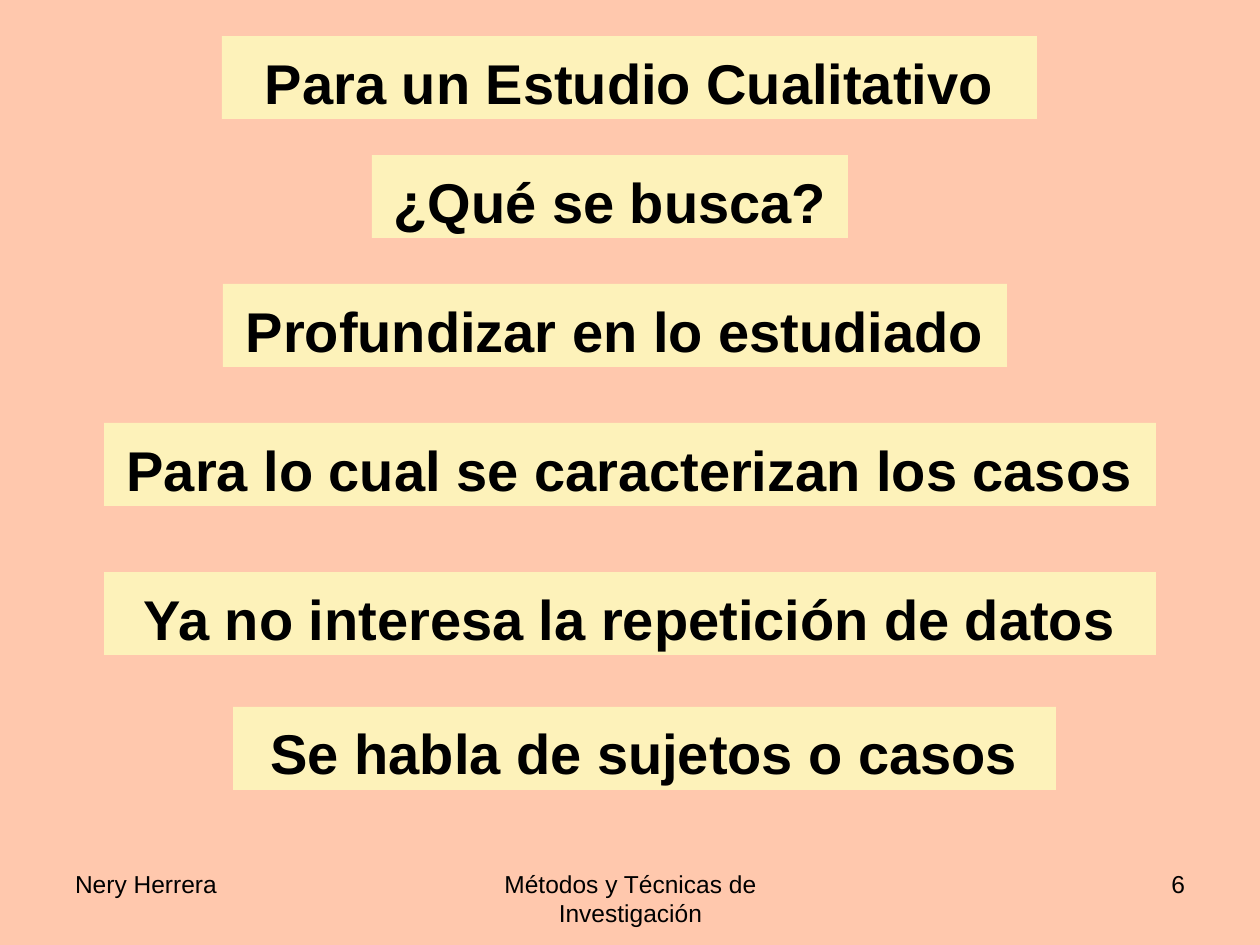
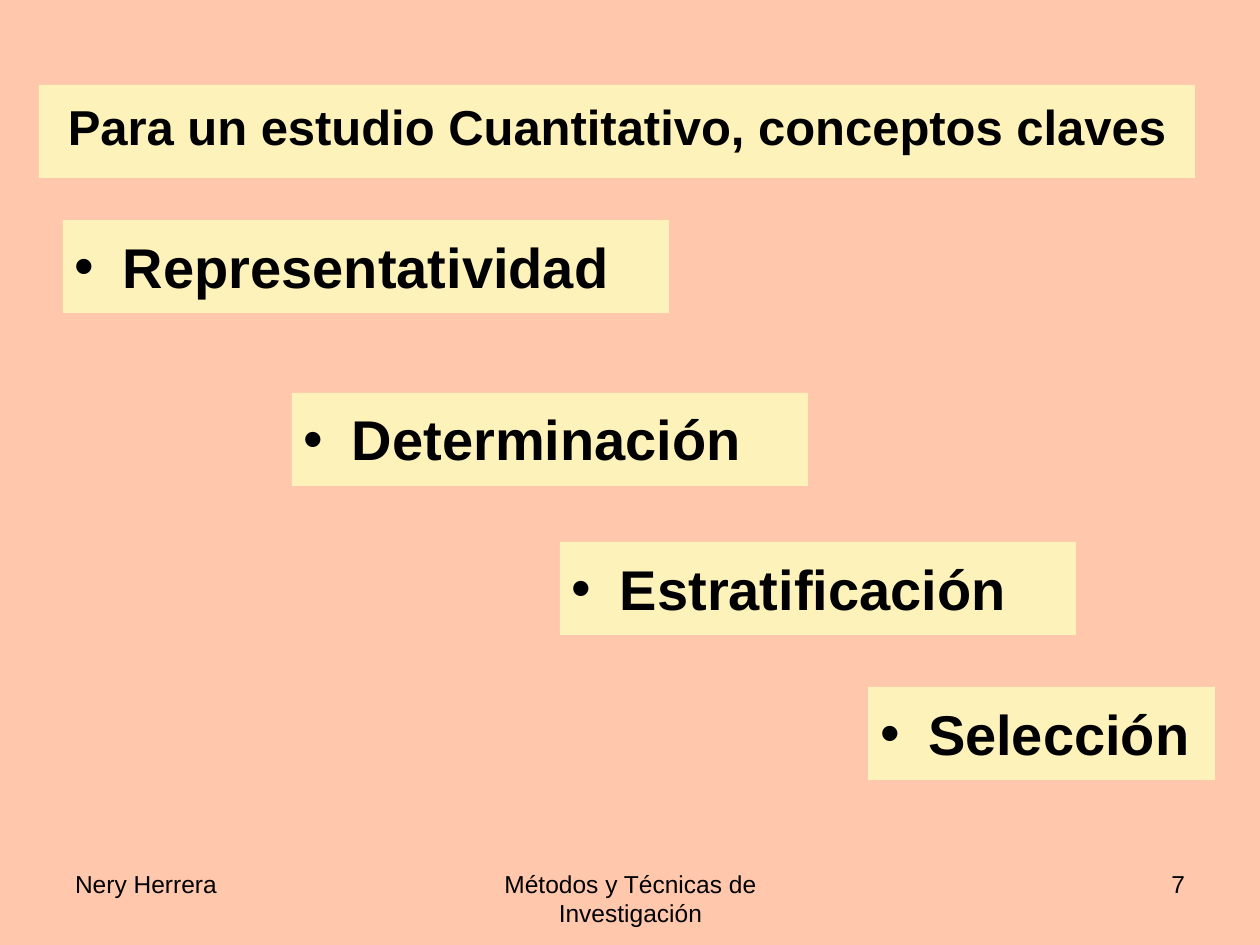
from lxml import etree
from pptx import Presentation
from pptx.dml.color import RGBColor
from pptx.enum.shapes import MSO_SHAPE
from pptx.enum.text import MSO_ANCHOR, PP_ALIGN
from pptx.oxml.ns import qn
from pptx.util import Pt

RECT = MSO_SHAPE.RECTANGLE
TOP = MSO_ANCHOR.TOP
LEFT, MID, RIGHT = PP_ALIGN.LEFT, PP_ALIGN.CENTER, PP_ALIGN.RIGHT

PEACH = "FFC8AD"
CREAM = "FDF2BA"
BLACK = "000000"
FONT = "Arial"
SCALE = 914400 / 126
INDENT = 48


def color(hex_code):
    return RGBColor.from_string(hex_code)


def add_text(slide, text, x, y, w, h, size=32, bold=True, align=MID, fill=None, bullet=False, inset=12):
    spot = [round(v * SCALE) for v in (x, y, w, h)]
    if fill:
        box = slide.shapes.add_shape(RECT, *spot)
        box.shadow.inherit = False
        box.fill.solid()
        box.fill.fore_color.rgb = color(fill)
        box.line.fill.background()
    else:
        box = slide.shapes.add_textbox(*spot)
    frame = box.text_frame
    frame.word_wrap = True
    frame.vertical_anchor = TOP
    frame.margin_left = frame.margin_right = round(12 * SCALE)
    frame.margin_top = round(inset * SCALE)
    frame.margin_bottom = 0
    para = frame.paragraphs[0]
    para.alignment = align
    if bullet:
        props = para._p.get_or_add_pPr()
        props.set("marL", str(round(INDENT * SCALE)))
        props.set("indent", str(-round(INDENT * SCALE)))
        etree.SubElement(props, qn("a:buFont"), typeface=FONT)
        etree.SubElement(props, qn("a:buChar"), char="•")
    run = para.add_run()
    run.text = text
    run.font.name = FONT
    run.font.size = Pt(size)
    run.font.bold = bold
    run.font.color.rgb = color(BLACK)


deck = Presentation()
deck.slide_width = round(1260 * SCALE)
deck.slide_height = round(945 * SCALE)

lines = [
    ("Para un Estudio Cualitativo", 222, 36, 815),
    ("¿Qué se busca?", 372, 155, 476),
    ("Profundizar en lo estudiado", 223, 284, 784),
    ("Para lo cual se caracterizan los casos", 104, 423, 1052),
    ("Ya no interesa la repetición de datos", 104, 572, 1052),
    ("Se habla de sujetos o casos", 233, 707, 823),
]
terms = [
    ("Representatividad", 63, 220, 606),
    ("Determinación", 292, 393, 516),
    ("Estratificación", 560, 542, 516),
    ("Selección", 868, 687, 347),
]

for page in (6, 7):
    slide = deck.slides.add_slide(deck.slide_layouts[6])
    slide.background.fill.solid()
    slide.background.fill.fore_color.rgb = color(PEACH)

    if page == 6:
        for text, x, y, w in lines:
            add_text(slide, text, x, y, w, 83, fill=CREAM)
    else:
        add_text(slide, "Para un estudio Cuantitativo, conceptos claves", 39, 85, 1156, 93, size=28, fill=CREAM)
        for text, x, y, w in terms:
            add_text(slide, text, x, y, w, 93, align=LEFT, fill=CREAM, bullet=True)

    for text, x, w, align in [
        ("Nery Herrera", 63, 294, LEFT),
        ("Métodos y Técnicas de Investigación", 431, 399, MID),
        (str(page), 903, 294, RIGHT),
    ]:
        add_text(slide, text, x, 861, w, 65, size=14, bold=False, align=align, inset=8)

deck.save("out.pptx")
